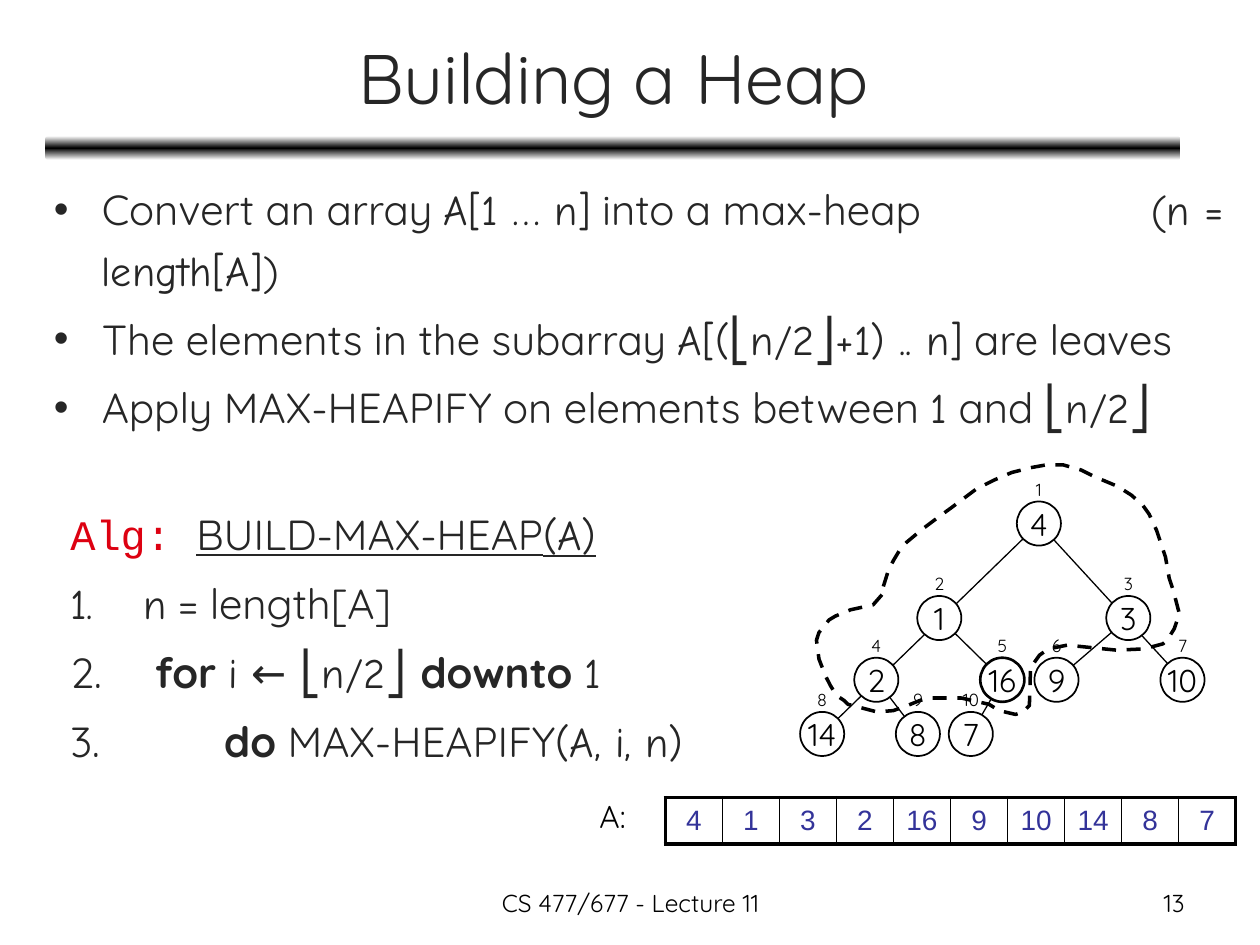
from lxml import etree
from pptx import Presentation
from pptx import util as u
from pptx.dml.color import RGBColor
from pptx.enum import dml, shapes, text
from pptx.oxml import ns

HUES = {"ink": "262626", "black": "000000", "white": "FFFFFF",
        "red": "DD0111", "blue": "333399"}
SANS, HAND, MONO = "Quicksand", "Comic Neue", "Courier New"
MID, LEFT, RIGHT = text.PP_ALIGN.CENTER, text.PP_ALIGN.LEFT, text.PP_ALIGN.RIGHT


def cm(inch):
    return u.Cm(inch * 2.54)


def rgb(name):
    return RGBColor.from_string(HUES[name])


def sub(node, tag, **attrs):
    return etree.SubElement(node, ns.qn("a:" + tag), attrs)


def style(font, size, hue="black", name=SANS):
    font.size, font.name = u.Pt(size), name
    font.color.rgb = rgb(hue)


def label(slide, box, words, size, align=LEFT, hue="black", wrap=True):
    """Add a text box holding one evenly styled line."""
    area = slide.shapes.add_textbox(*map(cm, box))
    area.text_frame.word_wrap = wrap
    para = area.text_frame.paragraphs[0]
    para.text, para.alignment = words, align
    style(para.font, size, hue)
    return area


def header(slide, box):
    x, y, w, h = box
    title = label(slide, (x, y, w, 0.99), "Building a Heap", 40, MID, "ink")
    title.text_frame.vertical_anchor = text.MSO_ANCHOR.MIDDLE
    bar = slide.shapes.add_shape(shapes.MSO_SHAPE.ROUNDED_RECTANGLE,
                                 cm(x - 0.01), cm(y + 0.97), cm(w + 0.01),
                                 cm(0.19))
    bar.shadow.inherit = False
    bar.line.fill.background()
    bar.fill.gradient()
    bar.fill.gradient_angle = 90
    stops = bar._element.spPr.find(ns.qn("a:gradFill")).find(ns.qn("a:gsLst"))
    for stop in list(stops):
        stops.remove(stop)
    for pos, hue in ((0, "white"), (50, "black"), (100, "white")):
        sub(sub(stops, "gs", pos=str(pos * 1000)), "srgbClr", val=HUES[hue])


def prose(slide, box, items):
    """Fill a box with (indent, bullet tag, bullet attributes, runs) items."""
    frame = slide.shapes.add_textbox(*map(cm, box)).text_frame
    frame.word_wrap = True
    for i, (indent, tag, attrs, runs) in enumerate(items):
        para = frame.add_paragraph() if i else frame.paragraphs[0]
        para.line_spacing, para.space_before = 1.2, u.Pt(4.8)
        props = para._p.get_or_add_pPr()
        props.set("marL", str(cm(indent)))
        props.set("indent", str(-cm(indent)))
        if tag == "buChar":
            sub(props, "buFont", typeface="Arial")
        sub(props, tag, **attrs)
        style(para.font, 24, "ink")
        for words, name, *marks in runs:
            run = para.add_run()
            run.text, run.font.name = words, name
            if "bold" in marks:
                run.font.bold = True
            if "line" in marks:
                run.font.underline = True
            if "red" in marks:
                run.font.color.rgb = rgb("red")
            if "wide" in marks:
                run._r.get_or_add_rPr().set("spc", "12500")


def facts(slide, box):
    rows = [
        [("Convert an array ", SANS), ("A[1 … n]", HAND),
         (" into a max-heap", SANS), (" ", SANS, "wide"), ("(", SANS),
         ("n = length[A]", HAND), (")", SANS)],
        [("The elements in the subarray ", SANS),
         ("A[(⎣n/2⎦+1) .. n]", HAND), (" are leaves", SANS)],
        [("Apply MAX-HEAPIFY on elements between ", SANS), ("1", HAND),
         (" and ", SANS), ("⎣n/2⎦", HAND)],
    ]
    prose(slide, box, [(0.38, "buChar", {"char": "•"}, row) for row in rows])


def steps(slide, box):
    # A plain leading space keeps the numbers of bold steps plain.
    rows = [
        (0.58, [("n", HAND), (" = length[A]", SANS)]),
        (0.58, [(" ", SANS), ("for ", SANS, "bold"), ("i ← ⎣n/2⎦ ", HAND),
                ("downto ", SANS, "bold"), ("1", HAND)]),
        (1.13, [(" ", SANS), ("do", SANS, "bold"), (" MAX-HEAPIFY", SANS),
                ("(A, i, n)", HAND)]),
    ]
    head = [("Alg: ", MONO, "red"), ("BUILD-MAX-HEAP", SANS, "line"),
            ("(A)", HAND, "line")]
    prose(slide, box, [(0.58, "buNone", {}, head)] + [
        (indent, "buAutoNum", {"type": "arabicPeriod"}, runs)
        for indent, runs in rows])


def tree(slide, box, keys):
    x, y = box[:2]
    size = 0.35
    spots = [(1.72, 0.29), (0.93, 1.04), (2.43, 1.04), (0.43, 1.53),
             (1.43, 1.53), (1.86, 1.53), (2.86, 1.53), (0, 1.96),
             (0.76, 1.96), (1.18, 1.96)]
    spots = [(x + dx, y + dy) for dx, dy in spots]
    for pair in ((5, 10), (3, 6), (4, 9), (2, 5), (1, 7), (1, 8)):
        ends = [cm(v + size / 2) for n in pair for v in spots[n - 1]]
        edge = slide.shapes.add_connector(shapes.MSO_CONNECTOR.STRAIGHT, *ends)
        edge.line.width, edge.line.color.rgb = u.Pt(0.75), rgb("black")
        sub(edge._element.spPr, "effectLst")
    for key, (left, top) in zip(keys, spots):
        node = slide.shapes.add_shape(shapes.MSO_SHAPE.OVAL, cm(left), cm(top),
                                      cm(size), cm(size))
        node.shadow.inherit = False
        node.fill.solid()
        node.fill.fore_color.rgb = rgb("white")
        node.line.color.rgb = rgb("black")
        node.line.width = u.Pt(1.5 if key == 16 else 1)
        frame = node.text_frame
        frame.word_wrap = False
        frame.vertical_anchor = text.MSO_ANCHOR.MIDDLE
        frame.margin_left = frame.margin_right = 0
        frame.margin_top = frame.margin_bottom = 0
        para = frame.paragraphs[0]
        para.text, para.alignment = str(key), MID
        style(para.font, 18)
    for i, (left, top) in enumerate(spots, 1):
        tag = label(slide, (left, top - 0.23, size, 0.27), str(i), 10, MID,
                    wrap=False)
        tag.text_frame.margin_left = tag.text_frame.margin_right = 0


def loop(slide, box):
    """Draw the dashed outline round the inner nodes."""
    x, y = box[:2]
    spots = [
        (0.52, 1.03), (0.45, 1.11), (0.27, 1.15), (0.15, 1.2), (0.1, 1.23),
        (0.02, 1.33), (0, 1.39), (0.02, 1.54), (0.07, 1.67), (0.11, 1.75),
        (0.16, 1.83), (0.22, 1.87), (0.25, 1.9), (0.48, 1.96), (0.61, 1.95),
        (0.72, 1.91), (0.82, 1.87), (0.89, 1.85), (1.15, 1.85), (1.37, 1.9),
        (1.45, 1.95), (1.58, 1.98), (1.64, 1.96), (1.69, 1.91), (1.7, 1.59),
        (1.72, 1.58), (1.77, 1.51), (1.84, 1.46), (1.99, 1.43), (2.38, 1.47),
        (2.6, 1.46), (2.75, 1.42), (2.79, 1.38), (2.84, 1.3), (2.88, 1.18),
        (2.83, 0.99), (2.8, 0.9), (2.77, 0.73), (2.7, 0.52), (2.64, 0.39),
        (2.59, 0.32), (2.5, 0.24), (2.39, 0.17), (2.2, 0.09), (2.1, 0.04),
        (1.96, 0), (1.82, 0), (1.71, 0.02), (1.55, 0.06), (1.41, 0.12),
        (1.27, 0.19), (1.15, 0.28), (1.07, 0.34), (0.96, 0.42), (0.84, 0.51),
        (0.72, 0.61), (0.67, 0.66), (0.61, 0.76), (0.57, 0.84), (0.52, 1)]
    spots = [(cm(x + dx), cm(y + dy)) for dx, dy in spots]
    maker = slide.shapes.build_freeform(*spots[0])
    maker.add_line_segments(spots[1:], close=True)
    ring = maker.convert_to_shape()
    ring.shadow.inherit = False
    ring.fill.background()
    ring.line.color.rgb, ring.line.width = rgb("black"), u.Pt(2)
    ring.line.dash_style = dml.MSO_LINE.DASH


def array(slide, box, keys):
    x, y, w, h = box
    label(slide, (x, y - 0.05, 0.46, 0.4), "A:", 18, wrap=False)
    last = len(keys) - 1
    grid = slide.shapes.add_table(1, len(keys), cm(x + 0.62), cm(y),
                                  cm(w - 0.62), cm(h)).table
    grid.first_row = grid.horz_banding = False
    for i, key in enumerate(keys):
        grid.columns[i].width = cm((w - 0.62) / len(keys))
        cell = grid.cell(0, i)
        cell.margin_left = cell.margin_right = 0
        cell.vertical_anchor = text.MSO_ANCHOR.MIDDLE
        para = cell.text_frame.paragraphs[0]
        para.text, para.alignment = str(key), MID
        style(para.font, 16, "blue", "Arial")
        props = cell._tc.get_or_add_tcPr()
        for side, thick in (("L", i == 0), ("R", i == last),
                            ("T", True), ("B", True)):
            rim = sub(props, "ln" + side, w=str(u.Pt(2.25 if thick else 1)))
            sub(sub(rim, "solidFill"), "srgbClr", val=HUES["black"])
        cell.fill.background()


def footer(slide, box):
    x, y, w, h = box
    label(slide, (x, y, 3.17, h), "CS 477/677 - Lecture 11", 14, MID)
    label(slide, (x + w - 2.33, y, 2.33, h), "13", 14, RIGHT)


def main():
    deck = Presentation()
    deck.slide_width, deck.slide_height = cm(10), cm(7.5)
    slide = deck.slides.add_slide(deck.slide_layouts[6])
    keys = [4, 1, 3, 2, 16, 9, 10, 14, 8, 7]
    header(slide, (0.37, 0.11, 9, 1.16))
    steps(slide, (0.46, 3.91, 5.83, 2.42))
    facts(slide, (0.33, 1.33, 9.57, 3))
    tree(slide, (6.35, 3.69, 3.21, 2.31), keys)
    array(slide, (4.66, 6.33, 5.15, 0.37), keys)
    loop(slide, (6.48, 3.69, 2.88, 1.98))
    footer(slide, (3.42, 7, 6.08, 0.35))
    deck.save("out.pptx")


if __name__ == "__main__":
    main()
